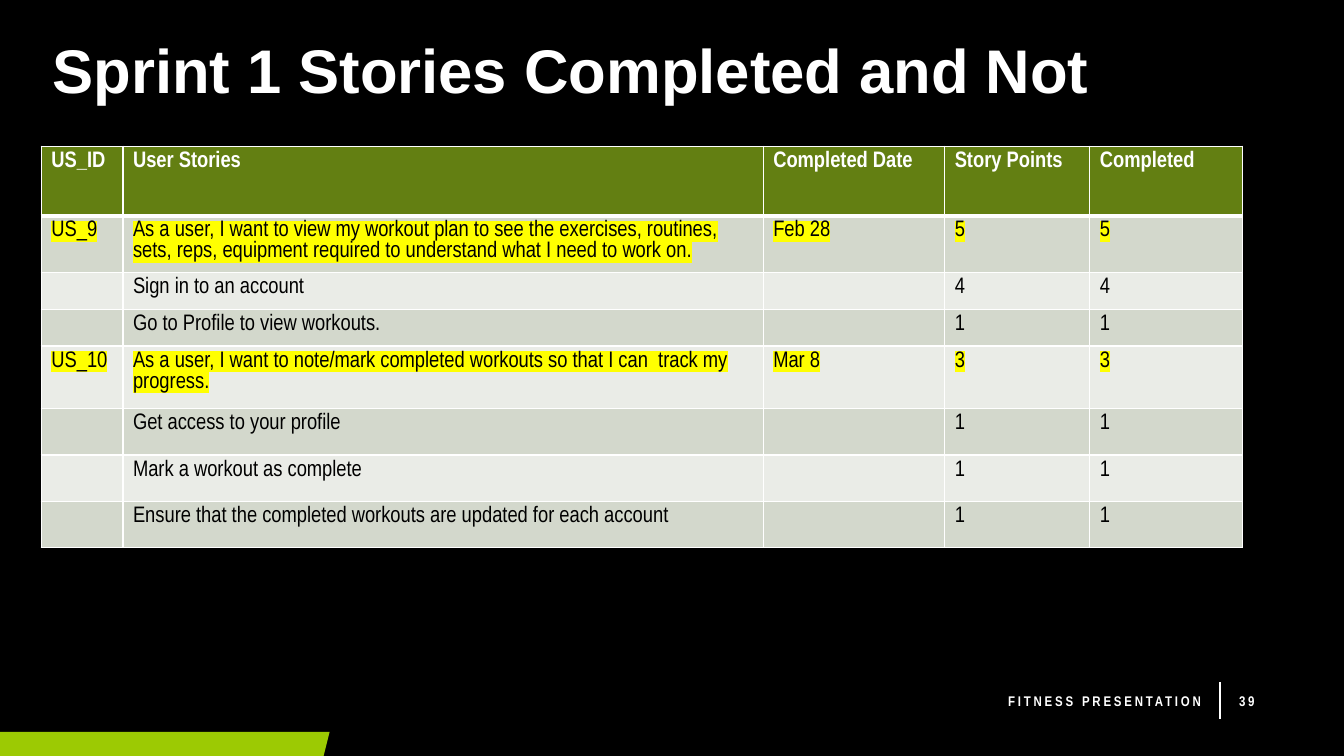
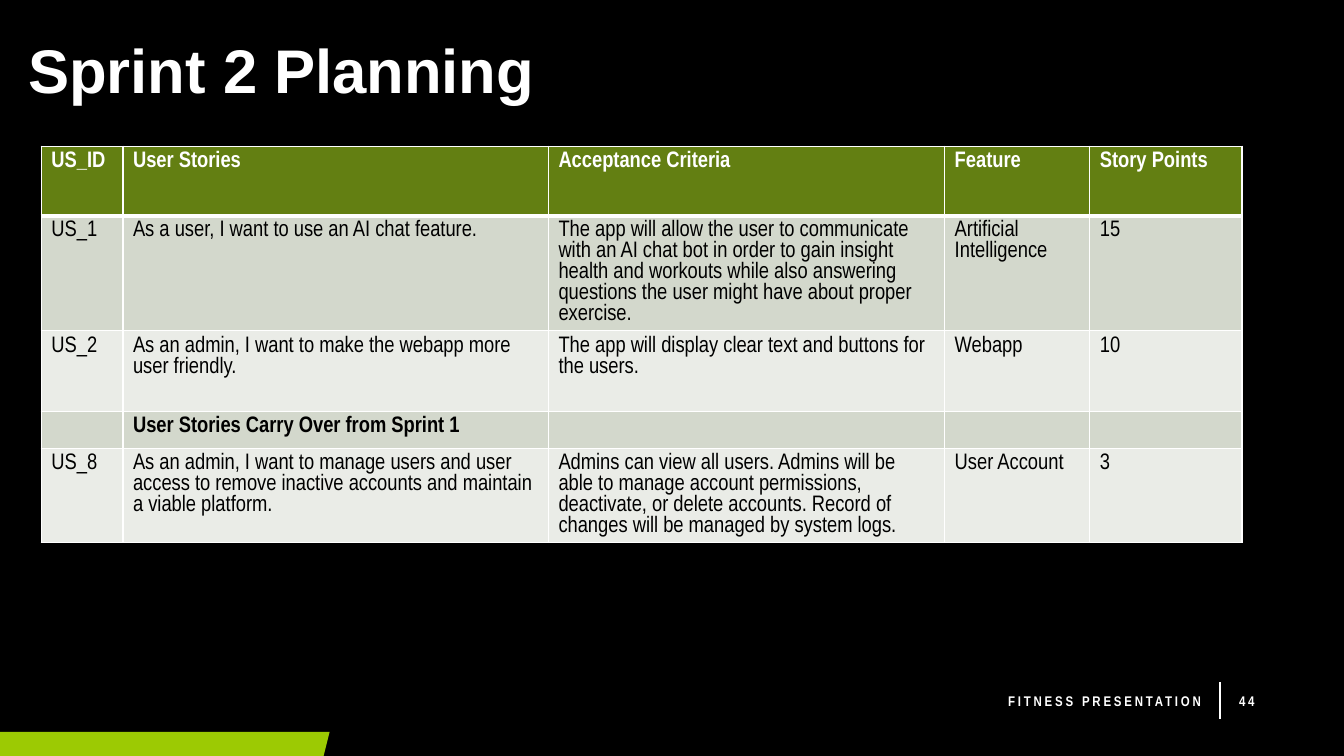
from dataclasses import dataclass

from lxml.etree import SubElement
from pptx import Presentation
from pptx.dml.color import RGBColor
from pptx.enum.shapes import MSO_CONNECTOR
from pptx.enum.text import MSO_ANCHOR, MSO_AUTO_SIZE, PP_ALIGN
from pptx.oxml.ns import qn
from pptx.text.text import Font
from pptx.util import Inches, Pt


@dataclass(frozen=True)
class Theme:
    background: str = "000000"
    light: str = "FFFFFF"
    dark: str = "000000"
    accent: str = "9CCA03"
    header: str = "637F12"
    bands: tuple = ("D3D8CC", "EAECE7")
    marker: str = "FFFF00"
    title_font: str = "Arial"
    body_font: str = "Arial Narrow"
    title_size: int = 44
    table_size: int = 16
    table_leading: int = 15
    footer_size: int = 10
    footer_tracking: int = 200
    thin: int = 1
    thick: int = 3


THEME = Theme()
TITLE_TEXT = dict(name=THEME.title_font, size=THEME.title_size, bold=True, color=THEME.light)
HEADER_TEXT = dict(name=THEME.body_font, size=THEME.table_size, bold=True, color=THEME.light)
STORY_TEXT = dict(HEADER_TEXT, bold=False, color=THEME.dark)
SECTION_TEXT = dict(STORY_TEXT, bold=True)
FOOTER_TEXT = dict(HEADER_TEXT, size=THEME.footer_size)
ROW_TEXT = {"header": HEADER_TEXT, "story": STORY_TEXT, "marked": STORY_TEXT, "section": SECTION_TEXT}

FOOTER = "FITNESS PRESENTATION"
TABLE_LEFT, TABLE_TOP = 0.41, 1.45

SLIDES = [
    {
        "title": "Sprint 1 Stories Completed and Not",
        "title_left": 0.42,
        "number": "39",
        "columns": [0.81, 6.35, 1.8, 1.44, 1.51],
        "rows": [
            (0.69, "header", ["US_ID", "User Stories", "Completed Date", "Story Points", "Completed"]),
            (0.56, "marked", [
                "US_9",
                "As a user, I want to view my workout plan to see the exercises, routines, sets, reps, "
                "equipment required to understand what I need to work on.",
                "Feb 28", "5", "5"]),
            (0.32, "story", ["", "Sign in to an account", "", "4", "4"]),
            (0.32, "story", ["", "Go to Profile to view workouts.", "", "1", "1"]),
            (0.62, "marked", [
                "US_10",
                "As a user, I want to note/mark completed workouts so that I can  track my progress.",
                "Mar 8", "3", "3"]),
            (0.46, "story", ["", "Get access to your profile", "", "1", "1"]),
            (0.46, "story", ["", "Mark a workout as complete", "", "1", "1"]),
            (0.46, "story", [
                "", "Ensure that the completed workouts are updated for each account", "", "1", "1"]),
        ],
    },
    {
        "title": "Sprint 2 Planning",
        "title_left": 0.18,
        "number": "44",
        "columns": [0.81, 4.22, 3.93, 1.44, 1.51],
        "rows": [
            (0.69, "header", ["US_ID", "User Stories", "Acceptance Criteria", "Feature", "Story Points"]),
            (1.14, "story", [
                "US_1",
                "As a user, I want to use an AI chat feature.",
                "The app will allow the user to communicate with an AI chat bot in order to gain insight "
                "health and workouts while also answering questions the user might have about proper exercise.",
                "Artificial Intelligence", "15"]),
            (0.8, "story", [
                "US_2",
                "As an admin, I want to make the webapp more user friendly.",
                "The app will display clear text and buttons for the users.",
                "Webapp", "10"]),
            (0.32, "section", ["", "User Stories Carry Over from Sprint 1", "", "", ""]),
            (0.93, "story", [
                "US_8",
                "As an admin, I want to manage users and user access to remove inactive accounts and "
                "maintain a viable platform.",
                "Admins can view all users. Admins will be able to manage account permissions, deactivate, "
                "or delete accounts. Record of changes will be managed by system logs.",
                "User Account", "3"]),
        ],
    },
]


def rgb(value):
    return RGBColor.from_string(value)


def format_font(font, style):
    for name, value in style.items():
        if name == "color":
            font.fill.solid()
            font.fill.fore_color.rgb = rgb(value)
        else:
            setattr(font, name, Pt(value) if name == "size" else value)


def add_span(para, text, style):
    span = para.add_run()
    span.text = text
    format_font(span.font, style)
    return span


def highlight(span):
    properties = span._r.get_or_add_rPr()
    mark = SubElement(properties, qn("a:highlight"))
    SubElement(mark, qn("a:srgbClr")).set("val", THEME.marker)
    properties.find(qn("a:latin")).addprevious(mark)


def set_borders(cell, top, bottom):
    properties = cell._tc.get_or_add_tcPr()
    widths = {"a:lnL": THEME.thin, "a:lnR": THEME.thin, "a:lnT": top, "a:lnB": bottom}
    for tag, width in widths.items():
        border = SubElement(properties, qn(tag))
        border.set("w", str(Pt(width)))
        fill = SubElement(border, qn("a:solidFill"))
        SubElement(fill, qn("a:srgbClr")).set("val", THEME.light)


def add_title(page, text, left):
    title = page.shapes.title
    title.left, title.top = Inches(left), Inches(0)
    title.width, title.height = Inches(12.01), Inches(1.45)
    frame = title.text_frame
    for name, value in dict(auto_size=MSO_AUTO_SIZE.NONE, word_wrap=True,
                            vertical_anchor=MSO_ANCHOR.MIDDLE).items():
        setattr(frame, name, value)
    para = frame.paragraphs[0]
    para.alignment = PP_ALIGN.LEFT
    para.line_spacing = 0.9
    add_span(para, text, TITLE_TEXT)


def add_footer_text(page, text, left, width, alignment):
    box = page.shapes.add_textbox(Inches(left), Inches(6.75), Inches(width), Inches(0.4))
    frame = box.text_frame
    frame.word_wrap = True
    frame.vertical_anchor = MSO_ANCHOR.MIDDLE
    para = frame.paragraphs[0]
    para.alignment = alignment
    span = add_span(para, text, FOOTER_TEXT)
    span._r.get_or_add_rPr().set("spc", str(THEME.footer_tracking))


def add_frame(page, number):
    divider = page.shapes.add_connector(
        MSO_CONNECTOR.STRAIGHT, Inches(12.1), Inches(6.77), Inches(12.1), Inches(7.13))
    divider.line.color.rgb = rgb(THEME.light)
    divider.line.width = Pt(THEME.thin)
    SubElement(divider._element.spPr, qn("a:effectLst"))

    outline = page.shapes.build_freeform(Inches(0), Inches(7.26))
    corners = [(3.27, 7.26), (3.21, 7.5), (0, 7.5)]
    outline.add_line_segments([(Inches(x), Inches(y)) for x, y in corners], close=True)
    band = outline.convert_to_shape()
    band.shadow.inherit = False
    band.fill.solid()
    band.fill.fore_color.rgb = rgb(THEME.accent)
    band.line.fill.background()

    add_footer_text(page, FOOTER, 7.76, 4.25, PP_ALIGN.RIGHT)
    add_footer_text(page, number, 12.19, 0.48, PP_ALIGN.LEFT)


def add_story_table(page, columns, rows):
    height = sum(row[0] for row in rows)
    table = page.shapes.add_table(
        len(rows), len(columns), Inches(TABLE_LEFT), Inches(TABLE_TOP),
        Inches(sum(columns)), Inches(height)).table
    for column, width in zip(table.columns, columns):
        column.width = Inches(width)
    for index, (row_height, kind, texts) in enumerate(rows):
        row = table.rows[index]
        row.height = Inches(row_height)
        color = THEME.header if kind == "header" else THEME.bands[(index - 1) % 2]
        top = THEME.thick if index == 1 else THEME.thin
        bottom = THEME.thick if index == 0 else THEME.thin
        for cell, text in zip(row.cells, texts):
            set_borders(cell, top, bottom)
            cell.fill.solid()
            cell.fill.fore_color.rgb = rgb(color)
            para = cell.text_frame.paragraphs[0]
            para.line_spacing = Pt(THEME.table_leading)
            if not text:
                format_font(Font(para._p.get_or_add_endParaRPr()), ROW_TEXT[kind])
                continue
            span = add_span(para, text, ROW_TEXT[kind])
            if kind == "marked":
                highlight(span)


def main():
    deck = Presentation()
    deck.slide_width, deck.slide_height = Inches(13.33), Inches(7.5)
    backdrop = deck.slide_master.background.fill
    backdrop.solid()
    backdrop.fore_color.rgb = rgb(THEME.background)
    for content in SLIDES:
        page = deck.slides.add_slide(deck.slide_layouts.get_by_name("Title Only"))
        add_frame(page, content["number"])
        add_title(page, content["title"], content["title_left"])
        add_story_table(page, content["columns"], content["rows"])
    deck.save("out.pptx")


if __name__ == "__main__":
    main()
